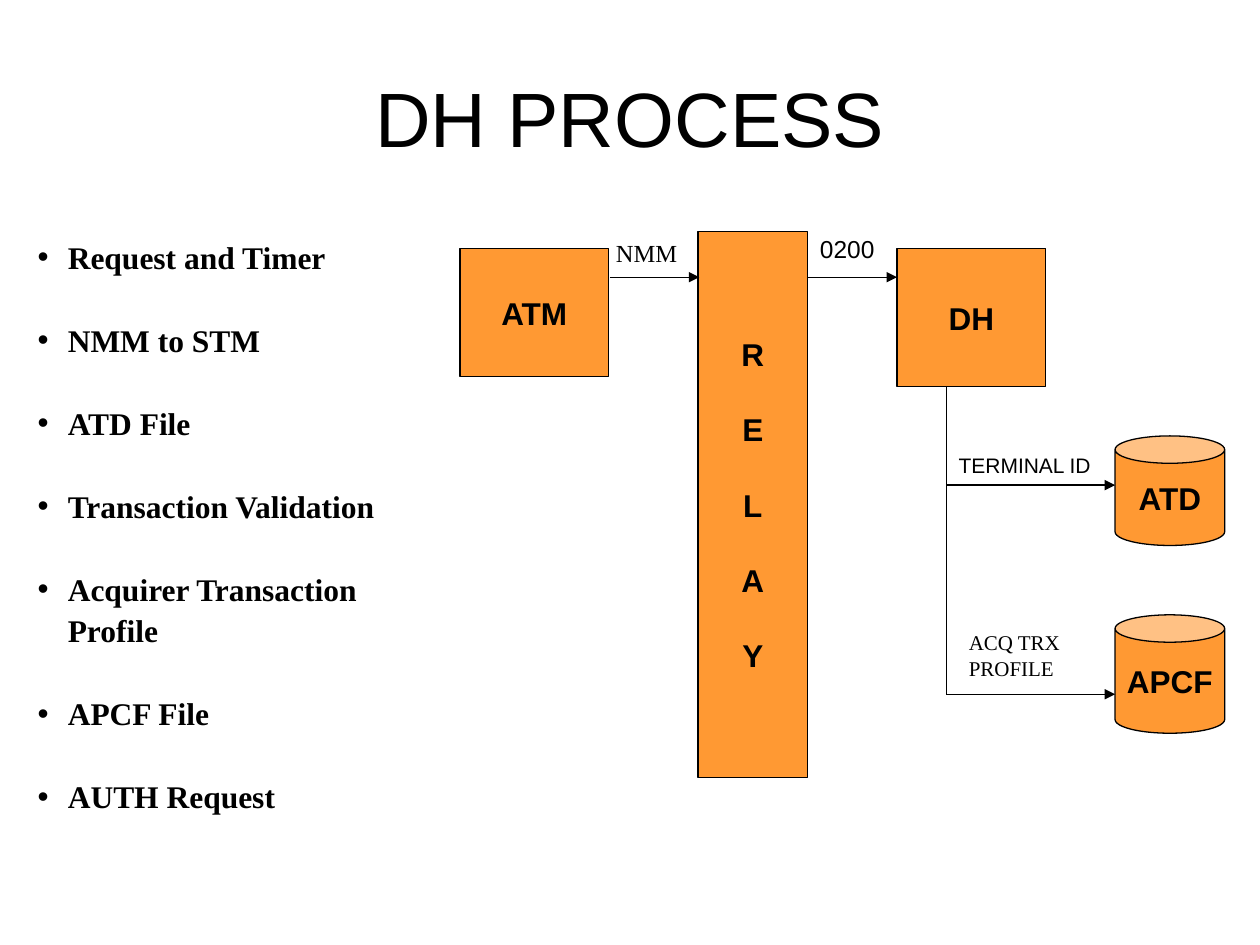
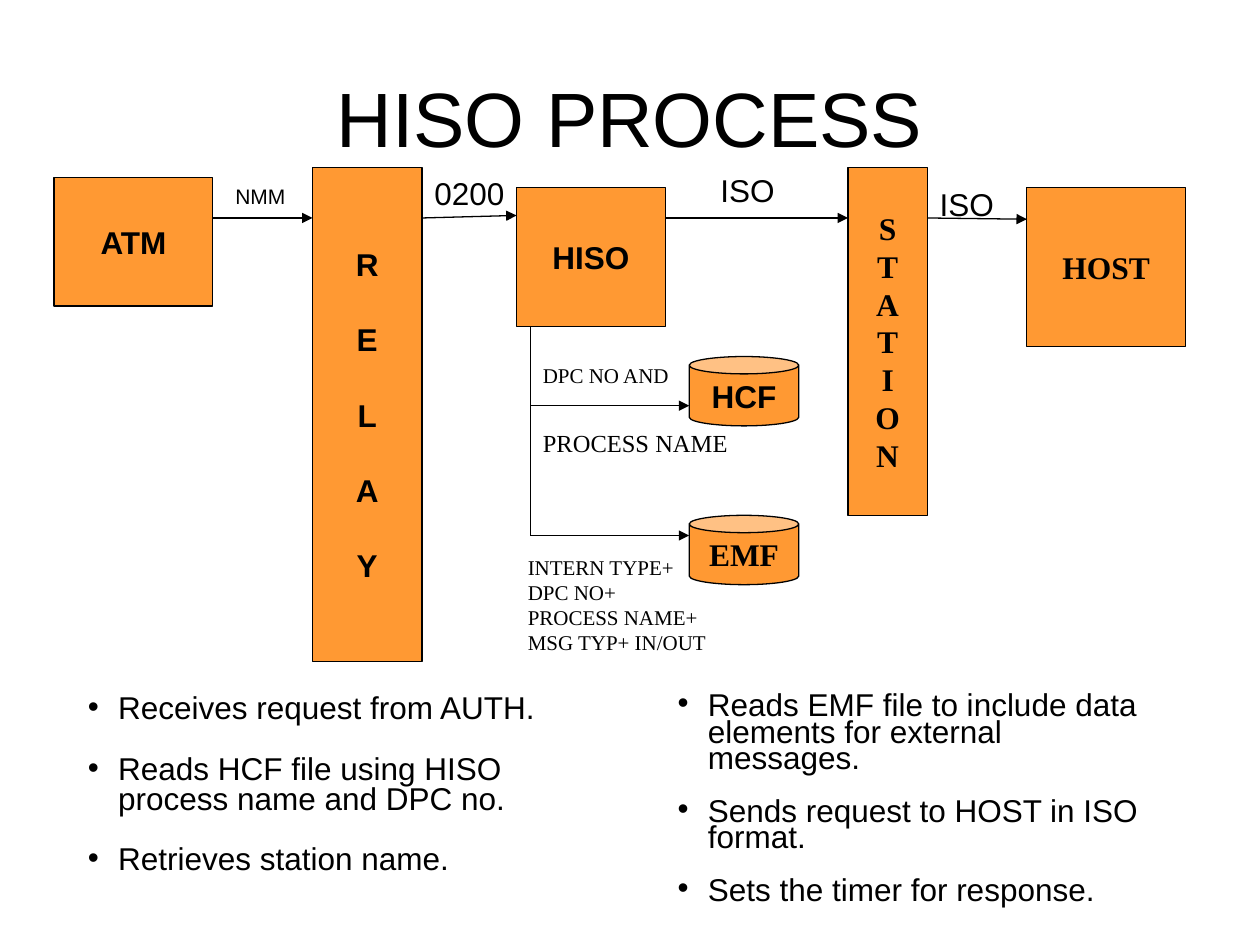
import pptx
import pptx.dml.color
import pptx.enum.shapes
import pptx.enum.text
import pptx.oxml
import pptx.util
from pptx.util import Inches

ORANGE = pptx.dml.color.RGBColor(0xFF, 0x99, 0x33)
BLACK = pptx.dml.color.RGBColor(0x00, 0x00, 0x00)
SANS = "Arial"
SERIF = "Times New Roman"
LINE_WIDTH = pptx.util.Pt(0.75)
LINE_HEIGHT = 21.5  # points taken by one line of 18-point text
BULLET_INDENT = Inches(0.24)

RECTANGLE = pptx.enum.shapes.MSO_SHAPE.RECTANGLE
CAN = pptx.enum.shapes.MSO_SHAPE.CAN
LEFT = pptx.enum.text.PP_ALIGN.LEFT
CENTER = pptx.enum.text.PP_ALIGN.CENTER
MIDDLE = pptx.enum.text.MSO_ANCHOR.MIDDLE


def add_drawing_element(parent, tag, **attributes):
    element = parent.makeelement(pptx.oxml.ns.qn(tag), attributes)
    parent.append(element)
    return element


def write_paragraphs(frame, lines, size, font, bold=False, alignment=LEFT,
                     gap=0, line_spacing=None, bulleted=False):
    """Fill a text frame, one paragraph a line, with gap points between them."""
    for index, line in enumerate(lines):
        paragraph = frame.paragraphs[0] if index == 0 else frame.add_paragraph()
        paragraph.text = line
        if bulleted:
            add_bullet(paragraph)
        paragraph.alignment = alignment
        if line_spacing:
            paragraph.line_spacing = line_spacing
        if gap and index:
            paragraph.space_before = pptx.util.Pt(gap)
        paragraph.font.size = pptx.util.Pt(size)
        paragraph.font.name = font
        paragraph.font.bold = bold
        paragraph.font.color.rgb = BLACK


def add_bullet(paragraph):
    properties = paragraph._p.get_or_add_pPr()
    properties.set("marL", str(BULLET_INDENT))
    properties.set("indent", str(-BULLET_INDENT))
    color = add_drawing_element(properties, "a:buClr")
    add_drawing_element(color, "a:srgbClr", val=str(BLACK))
    add_drawing_element(properties, "a:buFont", typeface=SANS)
    add_drawing_element(properties, "a:buChar", char="•")


def add_text_box(slide, left, top, width, height, wrap=True):
    box = slide.shapes.add_textbox(
        Inches(left), Inches(top), Inches(width), Inches(height))
    box.text_frame.word_wrap = wrap
    return box.text_frame


def add_title(slide, title):
    frame = add_text_box(slide, 0.5, 0.3, 9, 1.25)
    frame.vertical_anchor = MIDDLE
    write_paragraphs(frame, [title], 44, SANS, alignment=CENTER)


def add_label(slide, lines, left, top, width, height, size, font=SANS, wrap=False):
    frame = add_text_box(slide, left, top, width, height, wrap)
    write_paragraphs(frame, lines, size, font)


def add_bullets(slide, items, left, top, width, height, line_spacing,
                font=SANS, bold=False):
    frame = add_text_box(slide, left, top, width, height)
    write_paragraphs(frame, items, 18, font, bold, gap=LINE_HEIGHT * line_spacing,
                     line_spacing=line_spacing, bulleted=True)


def add_node(slide, lines, left, top, width, height, kind=RECTANGLE, font=SANS, gap=0):
    """Add an orange box or file symbol with bold centred text."""
    shape = slide.shapes.add_shape(
        kind, Inches(left), Inches(top), Inches(width), Inches(height))
    shape.shadow.inherit = False
    shape.fill.solid()
    shape.fill.fore_color.rgb = ORANGE
    shape.line.color.rgb = BLACK
    shape.line.width = LINE_WIDTH
    shape.text_frame.word_wrap = False
    shape.text_frame.vertical_anchor = MIDDLE
    write_paragraphs(shape.text_frame, lines, 18, font, True, CENTER, gap)


def add_relay(slide, left, top, height):
    add_node(slide, "RELAY", left, top, 0.87, height, gap=LINE_HEIGHT)


def add_line(slide, start_x, start_y, end_x, end_y, arrow=True):
    connector = slide.shapes.add_connector(
        pptx.enum.shapes.MSO_CONNECTOR.STRAIGHT,
        Inches(start_x), Inches(start_y), Inches(end_x), Inches(end_y))
    connector.line.color.rgb = BLACK
    connector.line.width = LINE_WIDTH
    if arrow:
        add_drawing_element(connector.line._get_or_add_ln(), "a:tailEnd", type="triangle")
    add_drawing_element(connector._element.spPr, "a:effectLst")


def add_branches(slide, trunk_x, top, end_x, branch_heights):
    """Drop a trunk line from top and send one arrow right at each height."""
    add_line(slide, trunk_x, top, trunk_x, branch_heights[-1], arrow=False)
    for height in branch_heights:
        add_line(slide, trunk_x, height, end_x, height)


def build_dh_slide(slide):
    add_title(slide, "DH PROCESS")
    add_node(slide, ["ATM"], 3.65, 1.97, 1.18, 1.02)
    add_relay(slide, 5.54, 1.84, 4.33)
    add_node(slide, ["DH"], 7.12, 1.97, 1.18, 1.1)
    add_node(slide, ["ATD"], 8.85, 3.46, 0.87, 0.87, CAN)
    add_node(slide, ["APCF"], 8.85, 4.88, 0.87, 0.94, CAN)

    add_line(slide, 4.84, 2.2, 5.55, 2.2)
    add_line(slide, 6.41, 2.2, 7.12, 2.2)
    add_branches(slide, 7.51, 3.07, 8.85, [3.85, 5.51])

    add_label(slide, ["0200"], 6.41, 1.81, 0.84, 0.34, 14)
    add_label(slide, ["TERMINAL ID"], 7.51, 3.54, 1.25, 0.3, 12)
    add_label(slide, ["ACQ TRX PROFILE"], 7.59, 4.95, 1.18, 0.5, 12, SERIF, wrap=True)
    add_label(slide, ["NMM"], 4.79, 1.84, 0.76, 0.34, 14, SERIF)
    add_bullets(slide, [
        "Request and Timer",
        "NMM to STM",
        "ATD File",
        "Transaction Validation",
        "Acquirer Transaction Profile",
        "APCF File",
        "AUTH Request",
    ], 0.2, 1.81, 3.46, 4.39, 1.1, SERIF, bold=True)


def build_hiso_slide(slide):
    add_title(slide, "HISO PROCESS")
    add_node(slide, ["ATM"], 0.43, 1.41, 1.26, 1.02)
    add_relay(slide, 2.48, 1.33, 3.92)
    add_node(slide, ["HISO"], 4.1, 1.49, 1.18, 1.1)
    add_node(slide, ["HCF"], 5.47, 2.83, 0.87, 0.55, CAN)
    add_node(slide, ["EMF"], 5.47, 4.09, 0.87, 0.55, CAN, SERIF)
    add_node(slide, "STATION", 6.73, 1.33, 0.63, 2.76, font=SERIF)
    add_node(slide, ["HOST"], 8.15, 1.49, 1.26, 1.26, font=SERIF)

    add_line(slide, 1.69, 1.73, 2.48, 1.73)
    add_line(slide, 3.35, 1.73, 4.1, 1.71)
    add_line(slide, 5.28, 1.73, 6.73, 1.73)
    add_line(slide, 7.36, 1.73, 8.15, 1.74)
    add_branches(slide, 4.21, 2.59, 5.47, [3.22, 4.25])

    add_label(slide, ["NMM"], 1.77, 1.41, 0.6, 0.3, 12)
    add_label(slide, ["0200"], 3.35, 1.33, 0.8, 0.4, 18)
    add_label(slide, ["ISO"], 5.62, 1.31, 0.63, 0.4, 18)
    add_label(slide, ["ISO"], 7.36, 1.42, 0.63, 0.4, 18)
    add_label(slide, ["DPC NO AND"], 4.21, 2.83, 1.25, 0.3, 12, SERIF)
    add_label(slide, ["PROCESS NAME"], 4.21, 3.35, 1.67, 0.34, 14, SERIF)
    add_label(slide, ["INTERN TYPE+", "DPC NO+", "PROCESS NAME+", "MSG TYP+ IN/OUT"],
              4.09, 4.35, 1.62, 0.9, 12, SERIF)
    add_bullets(slide, [
        "Receives request from AUTH.",
        "Reads HCF file using HISO process name and DPC no.",
        "Retrieves station name.",
    ], 0.6, 5.47, 4.4, 1.62, 0.8)
    add_bullets(slide, [
        "Reads EMF file to include data elements for external messages.",
        "Sends request to HOST in ISO format.",
        "Sets the timer for response.",
    ], 5.28, 5.47, 3.87, 1.71, 0.7)


def main():
    presentation = pptx.Presentation()
    presentation.slide_width = Inches(10)
    presentation.slide_height = Inches(7.5)
    blank_layout = presentation.slide_layouts[6]
    for build_slide in (build_dh_slide, build_hiso_slide):
        build_slide(presentation.slides.add_slide(blank_layout))
    presentation.save("out.pptx")


if __name__ == "__main__":
    main()
